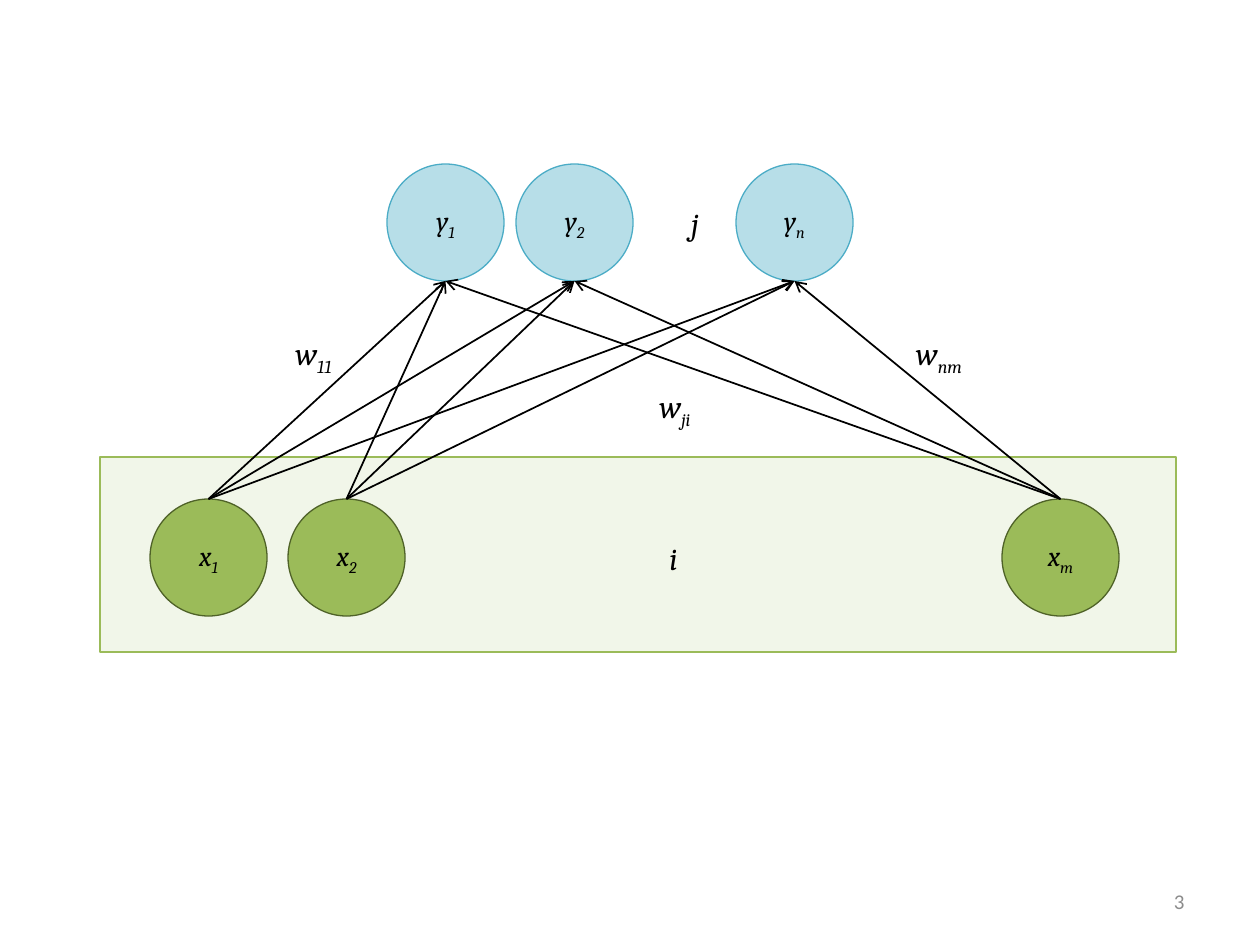
from itertools import product

from lxml import etree
from pptx import Presentation
from pptx.dml.color import RGBColor
from pptx.enum.shapes import MSO_CONNECTOR, MSO_SHAPE
from pptx.enum.text import MSO_ANCHOR, MSO_AUTO_SIZE, PP_ALIGN
from pptx.oxml.ns import qn
from pptx.util import Emu, Pt

PX_PER_INCH = 126
NODE_SIZE = 117
BLACK = "000000"


def px(length):
    return Emu(round(length * 914400 / PX_PER_INCH))


def color(hex_value):
    return RGBColor.from_string(hex_value)


def add_run(paragraph, text, size, font_name="Cambria", hex_value=BLACK, italic=True):
    run = paragraph.add_run()
    run.text = text
    run.font.size = Pt(size)
    run.font.name = font_name
    run.font.italic = italic
    run.font.color.rgb = color(hex_value)
    return run


def add_symbol(paragraph, letter, index, size):
    """Write a variable letter followed by its subscript, if any."""
    paragraph.alignment = PP_ALIGN.CENTER
    add_run(paragraph, letter, size)
    if index:
        subscript = add_run(paragraph, index, size)
        subscript.font._element.set("baseline", "-25000")


def add_outlined_shape(slide, kind, box, fill, line):
    shape = slide.shapes.add_shape(kind, *map(px, box))
    shape.shadow.inherit = False
    shape.fill.solid()
    shape.fill.fore_color.rgb = color(fill)
    shape.line.color.rgb = color(line)
    shape.line.width = Pt(0.75)
    return shape


def add_label(slide, box, letter, index=""):
    frame = slide.shapes.add_textbox(*map(px, box)).text_frame
    frame.word_wrap = False
    frame.auto_size = MSO_AUTO_SIZE.SHAPE_TO_FIT_TEXT
    add_symbol(frame.paragraphs[0], letter, index, 18)


def add_nodes(slide, left, top, letter, offsets, fill, line):
    """Draw a row of neurons; offsets maps each index to its distance from left."""
    nodes = []
    for index, offset in offsets.items():
        box = (left + offset, top, NODE_SIZE, NODE_SIZE)
        node = add_outlined_shape(slide, MSO_SHAPE.OVAL, box, fill, line)
        frame = node.text_frame
        frame.vertical_anchor = MSO_ANCHOR.MIDDLE
        add_symbol(frame.paragraphs[0], letter, index, 16)
        nodes.append(node)
    return nodes


def add_input_layer(slide, left, top, width, height):
    band = add_outlined_shape(slide, MSO_SHAPE.RECTANGLE, (left, top, width, height),
                              "D7E4BD", "9BBB59")
    fill_color = band.fill._xPr.find(qn("a:solidFill"))[0]
    etree.SubElement(fill_color, qn("a:alpha")).set("val", "33000")
    add_label(slide, (left + 554, top + 76, 39, 50), "i")
    return add_nodes(slide, left, top + 42, "x", {"1": 50, "2": 188, "m": 902},
                     "9BBB59", "4F6228")


def add_output_layer(slide, left, top):
    add_label(slide, (left + 287, top + 34, 42, 50), "j")
    return add_nodes(slide, left, top, "y", {"1": 0, "2": 129, "n": 349},
                     "B7DEE8", "4BACC6")


def add_weight_arrow(slide, source, target):
    """Run an arrow from the top of one neuron to the bottom of another."""
    end_x = target.left + target.width // 2
    end_y = target.top + target.height
    arrow = slide.shapes.add_connector(MSO_CONNECTOR.STRAIGHT, source.left, source.top,
                                       end_x, end_y)
    arrow.begin_connect(source, 0)
    arrow.line.color.rgb = color(BLACK)
    arrow.line.width = Pt(1)
    etree.SubElement(arrow.line._get_or_add_ln(), qn("a:tailEnd")).set("type", "arrow")
    etree.SubElement(arrow._element.spPr, qn("a:effectLst"))


def add_weights(slide, left, top, inputs, outputs):
    for source, target in product(inputs, outputs):
        add_weight_arrow(slide, source, target)
    add_label(slide, (left, top, 77, 50), "w", "11")
    add_label(slide, (left + 623, top, 82, 50), "w", "nm")
    add_label(slide, (left + 368, top + 53, 64, 50), "w", "ji")


def add_page_number(slide, left, top, width, height):
    frame = slide.shapes.add_textbox(*map(px, (left, top, width, height))).text_frame
    frame.word_wrap = True
    frame.vertical_anchor = MSO_ANCHOR.MIDDLE
    paragraph = frame.paragraphs[0]
    paragraph.alignment = PP_ALIGN.RIGHT
    add_run(paragraph, "3", 12, "Calibri", "8C8C8C", italic=False)


def main():
    presentation = Presentation()
    presentation.slide_width = px(1260)
    presentation.slide_height = px(945)
    slide = presentation.slides.add_slide(presentation.slide_layouts[6])
    inputs = add_input_layer(slide, 100, 457, 1076, 195)
    outputs = add_output_layer(slide, 387, 164)
    add_weights(slide, 275, 328, inputs, outputs)
    add_page_number(slide, 903, 876, 294, 50)
    presentation.save("out.pptx")


if __name__ == "__main__":
    main()
